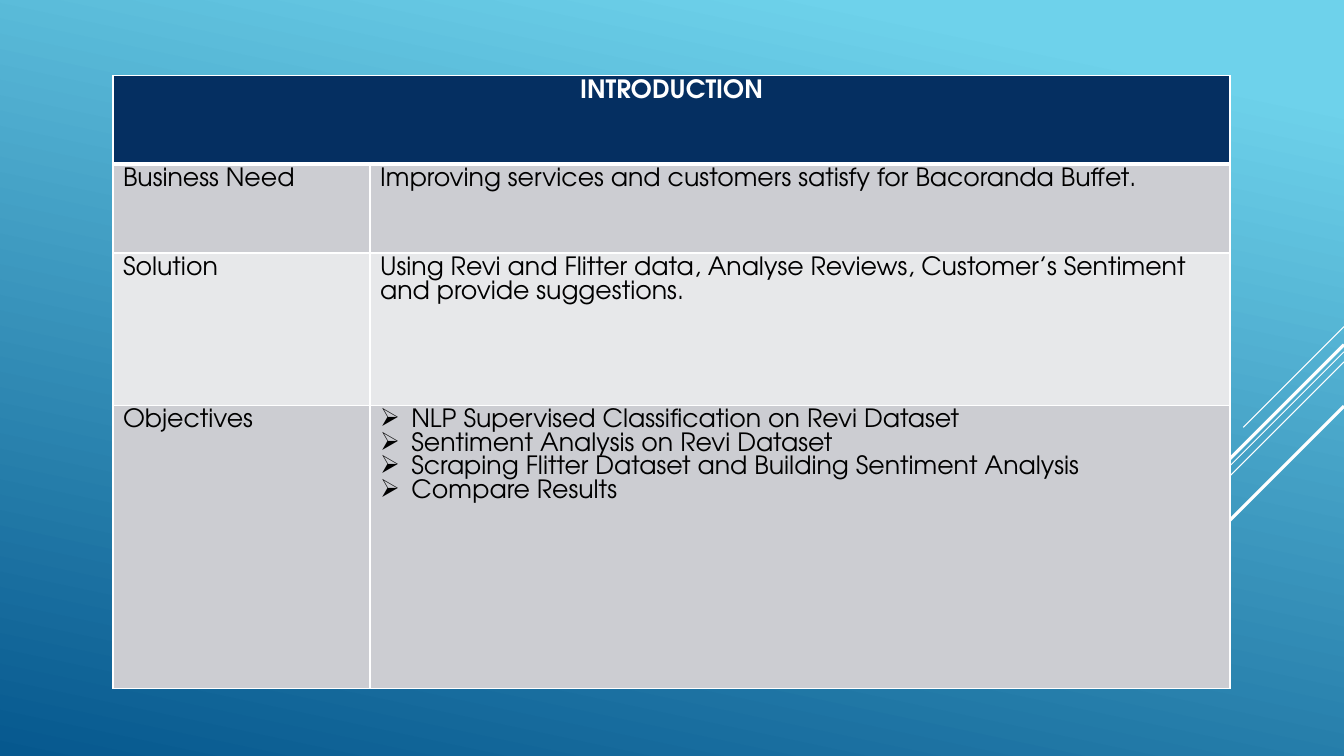
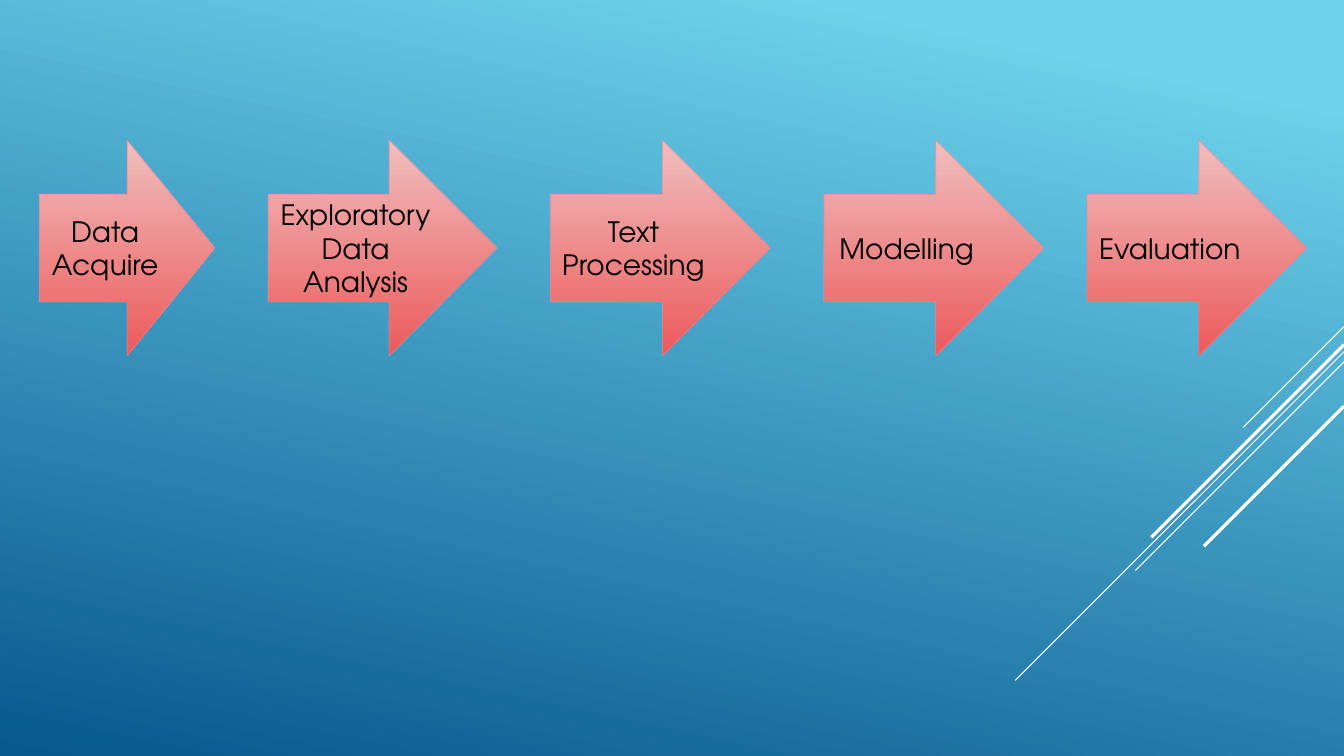
from lxml import etree
from pptx import Presentation
from pptx.dml.color import RGBColor
from pptx.enum.shapes import MSO_CONNECTOR, MSO_SHAPE
from pptx.enum.text import MSO_ANCHOR, PP_ALIGN
from pptx.oxml.ns import qn
from pptx.util import Inches, Pt

STRAIGHT = MSO_CONNECTOR.STRAIGHT
RIGHT_ARROW = MSO_SHAPE.RIGHT_ARROW
MIDDLE = MSO_ANCHOR.MIDDLE
CENTER, LEFT = PP_ALIGN.CENTER, PP_ALIGN.LEFT

# Shared style
FONT = "TeX Gyre Adventor"
WHITE, BLACK, NAVY = "FFFFFF", "000000", "052F61"
BAND_DARK, BAND_LIGHT = "CCCDD2", "E7E8EA"
BACKGROUND = [("6ED2EB", 0.1), ("06588E", 1)]
ARROW_FILL = [("F0BEBE", 0), ("EC5A5B", 1)]
ARROW_EDGE = "D68BA6"
PAGE_WIDTH, PAGE_HEIGHT = 13.33, 7.5
BLANK_LAYOUT = 6

# Diagonal rays from the right edge: start height, run to the lower left, weight
RAYS = [(3.24, 1, 0.75), (3.49, 3.26, 0.75), (3.59, 2.07, 0.75),
        (3.42, 1.91, 2.25), (4.03, 1.39, 2.25)]

# Slide content
TABLE_TITLE = "INTRODUCTION"
TABLE_ROWS = [
    ("Business Need",
     ["Improving services and customers satisfy for Bacoranda Buffet."]),
    ("Solution",
     ["Using Revi and Flitter data, Analyse Reviews, Customer’s Sentiment "
      "and provide suggestions."]),
    ("Objectives",
     ["NLP Supervised Classification on Revi Dataset",
      "Sentiment Analysis on Revi Dataset",
      "Scraping Flitter Dataset and Building Sentiment Analysis",
      "Compare Results"]),
]
COLUMN_WIDTHS = [2.55, 8.53]
ROW_HEIGHTS = [0.88, 0.88, 1.51, 2.81]

# Process steps: text, left, width
STEPS = [("Data Acquire", 0.39, 1.74), ("Exploratory Data Analysis", 2.66, 2.27),
         ("Text Processing", 5.46, 2.18), ("Modelling", 8.17, 2.18),
         ("Evaluation", 10.78, 2.18)]


def color(value):
    return RGBColor.from_string(value)


def fill_gradient(fill, stops, angle):
    """Apply a two-colour gradient; the angle runs clockwise."""
    fill.gradient()
    fill.gradient_angle = 360 - angle
    for stop, (value, position) in zip(fill.gradient_stops, stops):
        stop.color.rgb = color(value)
        stop.position = position


def write_para(para, text, size, value=BLACK, bold=False, **para_format):
    span = para.add_run()
    span.text = text
    span.font.color.rgb = color(value)
    for name, setting in {"name": FONT, "size": Pt(size), "bold": bold}.items():
        setattr(span.font, name, setting)
    for name, setting in para_format.items():
        setattr(para, name, setting)


def add_bullet(para, indent=0.31):
    properties = para._p.get_or_add_pPr()
    properties.set("marL", str(Inches(indent)))
    properties.set("indent", str(-Inches(indent)))
    etree.SubElement(properties, qn("a:buChar"), char="➢")


def add_ray(page, top, run, weight):
    ray = page.shapes.add_connector(
        STRAIGHT, Inches(PAGE_WIDTH), Inches(top),
        Inches(PAGE_WIDTH - run), Inches(top + run))
    ray.line.color.rgb = color(WHITE)
    ray.line.width = Pt(weight)
    etree.SubElement(ray.element.spPr, qn("a:effectLst"))


def add_page(deck):
    page = deck.slides.add_slide(deck.slide_layouts[BLANK_LAYOUT])
    for ray in RAYS:
        add_ray(page, *ray)
    return page


def style_cell(cell, fill, top=1, bottom=1):
    """Draw white borders, then the fill that must follow them."""
    properties = cell._tc.get_or_add_tcPr()
    for side, weight in {"L": 1, "R": 1, "T": top, "B": bottom}.items():
        border = etree.SubElement(properties, qn(f"a:ln{side}"), w=str(Pt(weight)))
        solid = etree.SubElement(border, qn("a:solidFill"))
        etree.SubElement(solid, qn("a:srgbClr"), val=WHITE)
    cell.fill.solid()
    cell.fill.fore_color.rgb = color(fill)
    cell.margin_top = cell.margin_bottom = Inches(0.04)


def write_cell(cell, lines, **text_format):
    frame = cell.text_frame
    for index, line in enumerate(lines):
        para = frame.add_paragraph() if index else frame.paragraphs[0]
        write_para(para, line, 18, **text_format)
        if len(lines) > 1:
            add_bullet(para)


def add_intro_table(page):
    frame = page.shapes.add_table(
        len(ROW_HEIGHTS), len(COLUMN_WIDTHS), Inches(1.12), Inches(0.75),
        Inches(sum(COLUMN_WIDTHS)), Inches(sum(ROW_HEIGHTS)))
    table = frame.table
    for column, width in zip(table.columns, COLUMN_WIDTHS):
        column.width = Inches(width)
    for row, height in zip(table.rows, ROW_HEIGHTS):
        row.height = Inches(height)

    # Header across both columns
    header = table.cell(0, 0)
    header.merge(table.cell(0, 1))
    for cell in table.rows[0].cells:
        style_cell(cell, NAVY, bottom=3)
    write_cell(header, [TABLE_TITLE], value=WHITE, bold=True, alignment=CENTER)

    # Banded rows
    for index, (label, lines) in enumerate(TABLE_ROWS, start=1):
        band = BAND_DARK if index % 2 else BAND_LIGHT
        for cell, content in zip(table.rows[index].cells, ([label], lines)):
            style_cell(cell, band, top=3 if index == 1 else 1)
            write_cell(cell, content, alignment=LEFT)


def add_step(page, text, left, width):
    arrow = page.shapes.add_shape(
        RIGHT_ARROW, Inches(left), Inches(1.39), Inches(width), Inches(2.14))
    arrow.shadow.inherit = False
    fill_gradient(arrow.fill, ARROW_FILL, 90)
    arrow.line.width = Pt(0.75)
    arrow.line.color.rgb = color(ARROW_EDGE)
    edge = arrow.element.spPr.find(f"{qn('a:ln')}//{qn('a:srgbClr')}")
    etree.SubElement(edge, qn("a:alpha"), val="60000")
    frame = arrow.text_frame
    frame.word_wrap = True
    frame.vertical_anchor = MIDDLE
    write_para(frame.paragraphs[0], text, 20, alignment=CENTER,
               space_before=Pt(4), space_after=Pt(6))


def main():
    deck = Presentation()
    deck.slide_width, deck.slide_height = Inches(PAGE_WIDTH), Inches(PAGE_HEIGHT)
    fill_gradient(deck.slide_master.background.fill, BACKGROUND, 102)

    # Introduction
    add_intro_table(add_page(deck))

    # Process
    process = add_page(deck)
    for step in STEPS:
        add_step(process, *step)

    deck.save("out.pptx")


if __name__ == "__main__":
    main()
